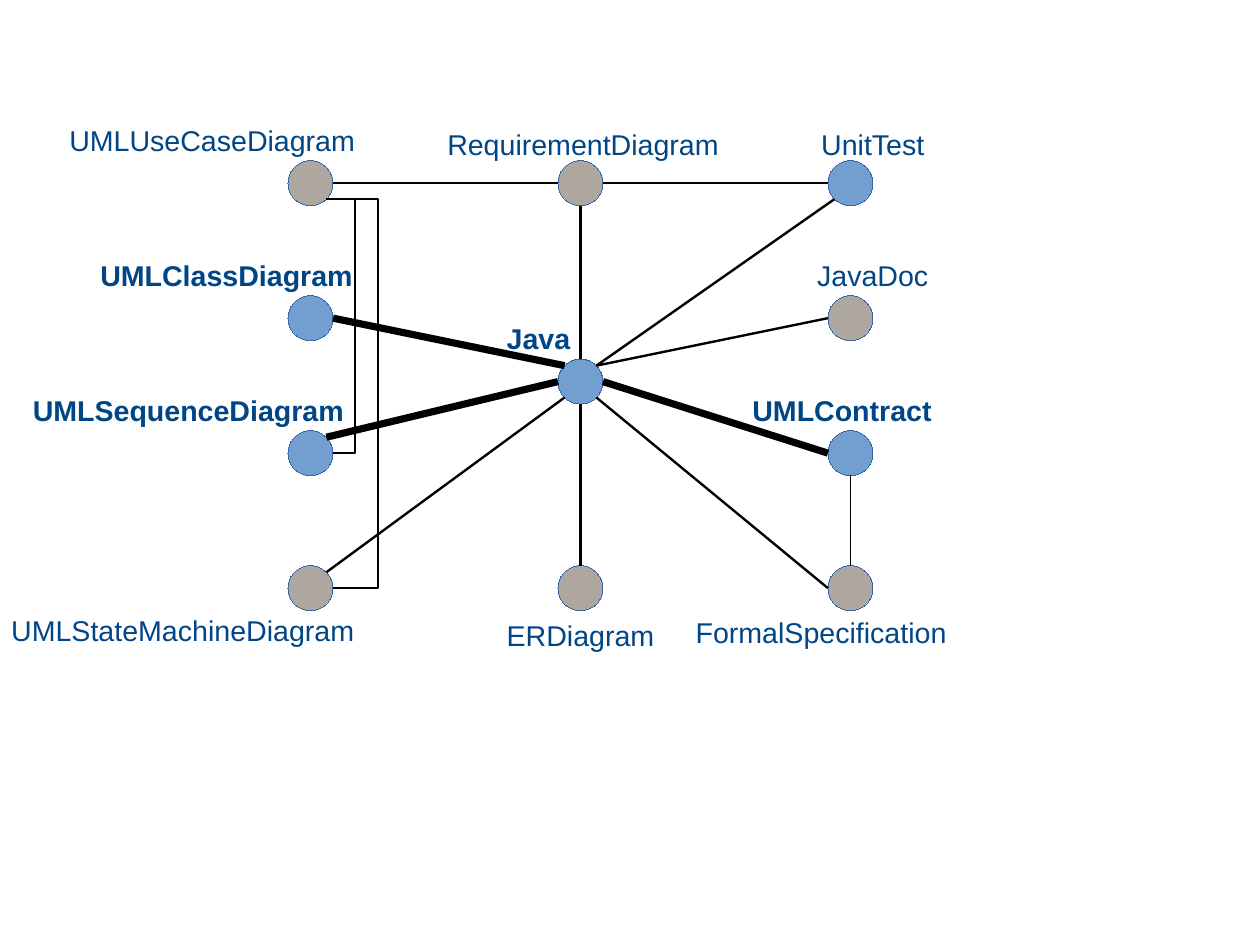
import math
from dataclasses import dataclass
from typing import Optional

import pptx
import pptx.dml.color
import pptx.enum.shapes
import pptx.enum.text
import pptx.oxml
import pptx.oxml.ns
import pptx.util
from lxml import etree

# Grid in centimetres: column 0, row 0 is the centre of the top left node
CELL, LEFT, TOP = 3, 6.9, 4.07
DIAMETER = 1 / 3
LABEL_HEIGHT = 0.32
BLUE, GREY, OUTLINE, INK, BLACK = "729FCF", "AEA79F", "3465A4", "004586", "000000"
THIN, NORMAL, THICK = 0, 1.5, 4.5
COMPASS = {side: i * 45 for i, side in enumerate(("E", "SE", "S", "SW", "W", "NW", "N", "NE"))}


@dataclass
class Node:
    name: str
    col: float
    row: float
    fill: str
    label_col: float
    label_row: float
    label_width: float
    bold: bool = False


@dataclass
class Link:
    start: str
    start_side: str
    end: str
    end_side: str
    weight: float = NORMAL
    elbow_col: Optional[float] = None


NODES = [
    Node("UMLUseCaseDiagram", 0, 0, GREY, -1.87, -0.49, 2.32),
    Node("UMLClassDiagram", 0, 1, BLUE, -1.64, 0.51, 2.07, True),
    Node("UMLSequenceDiagram", 0, 2, BLUE, -2.14, 1.51, 2.52, True),
    Node("UMLStateMachineDiagram", 0, 3, GREY, -2.3, 3.14, 2.76),
    Node("RequirementDiagram", 2, 0, GREY, 0.93, -0.46, 2.21),
    Node("Java", 2, 1.47, BLUE, 1.37, 0.98, 0.67, True),
    Node("ERDiagram", 2, 3, GREY, 1.37, 3.18, 1.31),
    Node("UnitTest", 4, 0, BLUE, 3.7, -0.46, 0.98),
    Node("JavaDoc", 4, 1, GREY, 3.67, 0.51, 1.04),
    Node("UMLContract", 4, 2, BLUE, 3.19, 1.51, 1.53, True),
    Node("FormalSpecification", 4, 3, GREY, 2.77, 3.16, 2.1),
]

LINKS = [
    Link("Java", "NE", "JavaDoc", "W"),
    Link("Java", "E", "UMLContract", "W", THICK),
    Link("Java", "W", "UMLSequenceDiagram", "NE", THICK),
    Link("Java", "NW", "UMLClassDiagram", "E", THICK),
    Link("UMLUseCaseDiagram", "E", "RequirementDiagram", "W"),
    Link("UnitTest", "SW", "Java", "NE"),
    Link("RequirementDiagram", "E", "UnitTest", "W"),
    Link("FormalSpecification", "W", "Java", "SE"),
    Link("FormalSpecification", "N", "UMLContract", "S", THIN),
    Link("UMLStateMachineDiagram", "NE", "Java", "SW"),
    Link("ERDiagram", "N", "Java", "S"),
    Link("UMLUseCaseDiagram", "SE", "UMLSequenceDiagram", "E", elbow_col=0.33),
    Link("UMLUseCaseDiagram", "SE", "UMLStateMachineDiagram", "E", elbow_col=0.5),
    Link("RequirementDiagram", "S", "Java", "N"),
]


def x(col: float) -> int:
    return pptx.util.Cm(LEFT + col * CELL)


def y(row: float) -> int:
    return pptx.util.Cm(TOP + row * CELL)


def size(cells: float) -> int:
    return pptx.util.Cm(cells * CELL)


def color(value: str) -> pptx.dml.color.RGBColor:
    return pptx.dml.color.RGBColor.from_string(value)


def set_line(shape, ink: str, pt: float) -> None:
    shape.line.color.rgb = color(ink)
    # A zero width must be written out, or the theme's width applies
    ln = shape._element.spPr.find(pptx.oxml.ns.qn("a:ln"))
    ln.set("w", str(int(pptx.util.Pt(pt))))


def site(node: Node, side: str) -> tuple[float, float]:
    angle = math.radians(COMPASS[side])
    return (node.col + DIAMETER / 2 * math.cos(angle),
            node.row + DIAMETER / 2 * math.sin(angle))


def draw_node(s, node: Node) -> None:
    sp = s.shapes.add_shape(
        pptx.enum.shapes.MSO_SHAPE.OVAL,
        x(node.col - DIAMETER / 2), y(node.row - DIAMETER / 2),
        size(DIAMETER), size(DIAMETER))
    sp.shadow.inherit = False
    sp.fill.solid()
    sp.fill.fore_color.rgb = color(node.fill)
    set_line(sp, OUTLINE, THIN)


def draw_link(s, link: Link, nodes: dict[str, Node]) -> None:
    col1, row1 = site(nodes[link.start], link.start_side)
    col2, row2 = site(nodes[link.end], link.end_side)
    kinds = pptx.enum.shapes.MSO_CONNECTOR
    kind = kinds.STRAIGHT if link.elbow_col is None else kinds.ELBOW
    c = s.shapes.add_connector(kind, x(col1), y(row1), x(col2), y(row2))
    set_line(c, BLACK, link.weight)
    qn = pptx.oxml.ns.qn
    etree.SubElement(c._element.spPr, qn("a:effectLst"))
    # The elbow is a share of the connector's width
    if link.elbow_col is not None:
        share = (link.elbow_col - col1) / (col2 - col1)
        geom = c._element.spPr.find(qn("a:prstGeom"))
        guides = geom.find(qn("a:avLst"))
        if guides is None:
            guides = etree.SubElement(geom, qn("a:avLst"))
        etree.SubElement(guides, qn("a:gd"), name="adj1", fmla=f"val {round(share * 100000)}")


def add_text(s, text: str, *, col: float, row: float, width: float,
             bold: bool = False, pt: float = 18, ink: str = INK) -> None:
    tf = s.shapes.add_textbox(x(col), y(row), size(width), size(LABEL_HEIGHT)).text_frame
    tf.word_wrap = False
    tf.auto_size = pptx.enum.text.MSO_AUTO_SIZE.SHAPE_TO_FIT_TEXT
    r = tf.paragraphs[0].add_run()
    r.text = text
    r.font.name = "Arial"
    r.font.size = pptx.util.Pt(pt)
    r.font.bold = bold
    r.font.color.rgb = color(ink)


def main() -> None:
    prs = pptx.Presentation()
    prs.slide_width = pptx.util.Cm(28)
    prs.slide_height = pptx.util.Cm(21)
    s = prs.slides.add_slide(prs.slide_layouts[6])

    # Nodes, then links, then labels on top
    for node in NODES:
        draw_node(s, node)
    nodes = {node.name: node for node in NODES}
    for link in LINKS:
        draw_link(s, link, nodes)
    for node in NODES:
        add_text(s, node.name, col=node.label_col, row=node.label_row,
                 width=node.label_width, bold=node.bold)

    prs.save("out.pptx")


if __name__ == "__main__":
    main()
